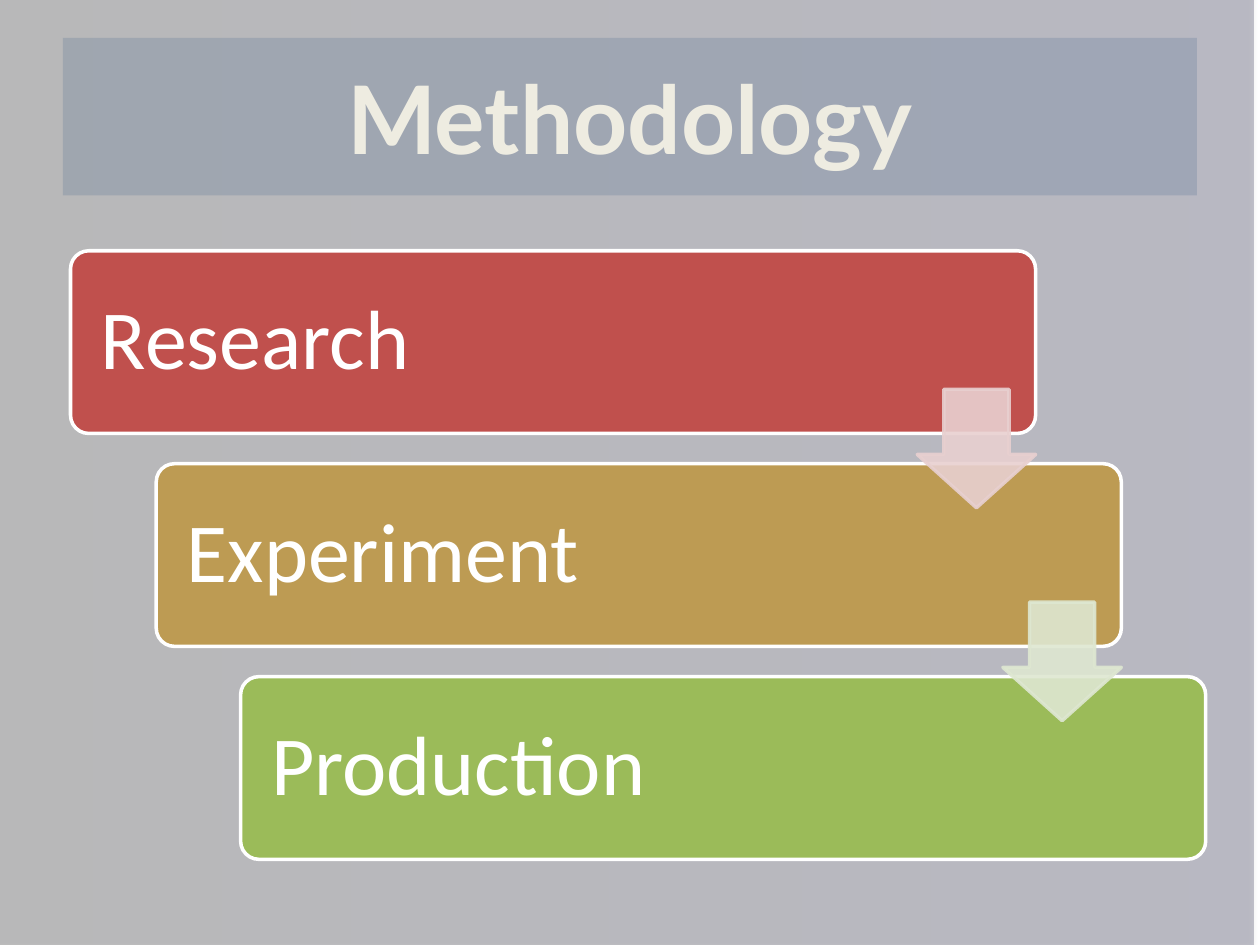
from lxml import etree
from pptx import Presentation
from pptx.dml.color import RGBColor
from pptx.enum.shapes import MSO_SHAPE as SHAPE
from pptx.enum.text import MSO_ANCHOR as ANCHOR, PP_ALIGN as ALIGN
from pptx.oxml import parse_xml
from pptx.oxml.ns import nsdecls, qn
from pptx.util import Pt

PX = 9144  # 100 px to the inch
WHITE = "FFFFFF"
STEPS = [("Research", "C0504D", "E8D0D0"),
         ("Experiment", "BD9B53", "DEE7D1"),
         ("Production", "9BBB59", None)]


def rgb(value):
    return RGBColor.from_string(value)


def set_alpha(sp, percent):
    """Give every colour of the shape's fill and line the same opacity."""
    for color in sp._element.spPr.iter(qn("a:srgbClr")):
        etree.SubElement(color, qn("a:alpha")).set("val", str(percent * 1000))


def add_shape(s, kind, box, fill=None, line=None, adjust=()):
    sp = s.shapes.add_shape(kind, *(v * PX for v in box))
    sp.shadow.inherit = False
    for i, value in enumerate(adjust):
        sp.adjustments[i] = value
    if fill:
        sp.fill.solid()
        sp.fill.fore_color.rgb = rgb(fill)
    if line:
        sp.line.color.rgb = rgb(line)
        sp.line.width = Pt(2)
    else:
        sp.line.fill.background()
    return sp


def add_text(sp, text, size, font, color, align, bold=False):
    tf = sp.text_frame
    tf.word_wrap = True
    tf.vertical_anchor = ANCHOR.MIDDLE
    p = tf.paragraphs[0]
    p.alignment = align
    r = p.add_run()
    r.text = text
    r.font.size, r.font.name, r.font.bold = Pt(size), font, bold
    r.font.color.rgb = rgb(color)
    return tf


def add_backdrop(s, box):
    sp = add_shape(s, SHAPE.RECTANGLE, box)
    sp.fill.gradient()
    sp.fill.gradient_angle = 0
    for stop, color in zip(sp.fill.gradient_stops, ("000000", "00002A")):
        stop.color.rgb = rgb(color)
    set_alpha(sp, 21)
    sp._element.spPr.find(qn("a:effectLst")).append(parse_xml(
        f'<a:outerShdw {nsdecls("a")} blurRad="{Pt(3.1)}" dist="{Pt(1.8)}" '
        'dir="5400000" rotWithShape="0"><a:srgbClr val="000000">'
        '<a:alpha val="35000"/></a:srgbClr></a:outerShdw>'))


def add_title(s, box, text):
    sp = add_shape(s, SHAPE.RECTANGLE, box, "1F497D")
    set_alpha(sp, 16)
    add_text(sp, text, 54, "Lato", "EEECE1", ALIGN.CENTER, bold=True)


def add_staircase(s, box, steps):
    """Lay the steps out from top left to bottom right, joined by arrows."""
    x, y, w, h = box
    step_w, step_h, arrow = 766, 145, 94
    dx = (w - step_w) / (len(steps) - 1)
    dy = (h - step_h) / (len(steps) - 1)
    corners = [(round(x + i * dx), round(y + i * dy)) for i in range(len(steps))]
    for (left, top), (name, fill, _) in zip(corners, steps):
        sp = add_shape(s, SHAPE.ROUNDED_RECTANGLE, (left, top, step_w, step_h),
                       fill, WHITE, [0.1])
        tf = add_text(sp, name, 48, "Calibri", WHITE, ALIGN.LEFT)
        tf.margin_left = tf.margin_right = 20 * PX
        tf.margin_top = tf.margin_bottom = 20 * PX
        tf.paragraphs[0].line_spacing = 0.9
    for (left, top), (_, _, color) in zip(corners, steps[:-1]):
        sp = add_shape(s, SHAPE.DOWN_ARROW,
                       (left + step_w - arrow, top + 110, arrow, arrow),
                       color, color, [0.55, 0.45])
        set_alpha(sp, 90)


def main():
    prs = Presentation()
    prs.slide_width, prs.slide_height = 1000 * PX, 750 * PX
    s = prs.slides.add_slide(prs.slide_layouts[6])
    add_backdrop(s, (-80, -10, 1075, 760))
    add_title(s, (50, 30, 900, 125), "Methodology")
    add_staircase(s, (56, 199, 901, 483), STEPS)
    prs.save("out.pptx")


if __name__ == "__main__":
    main()
